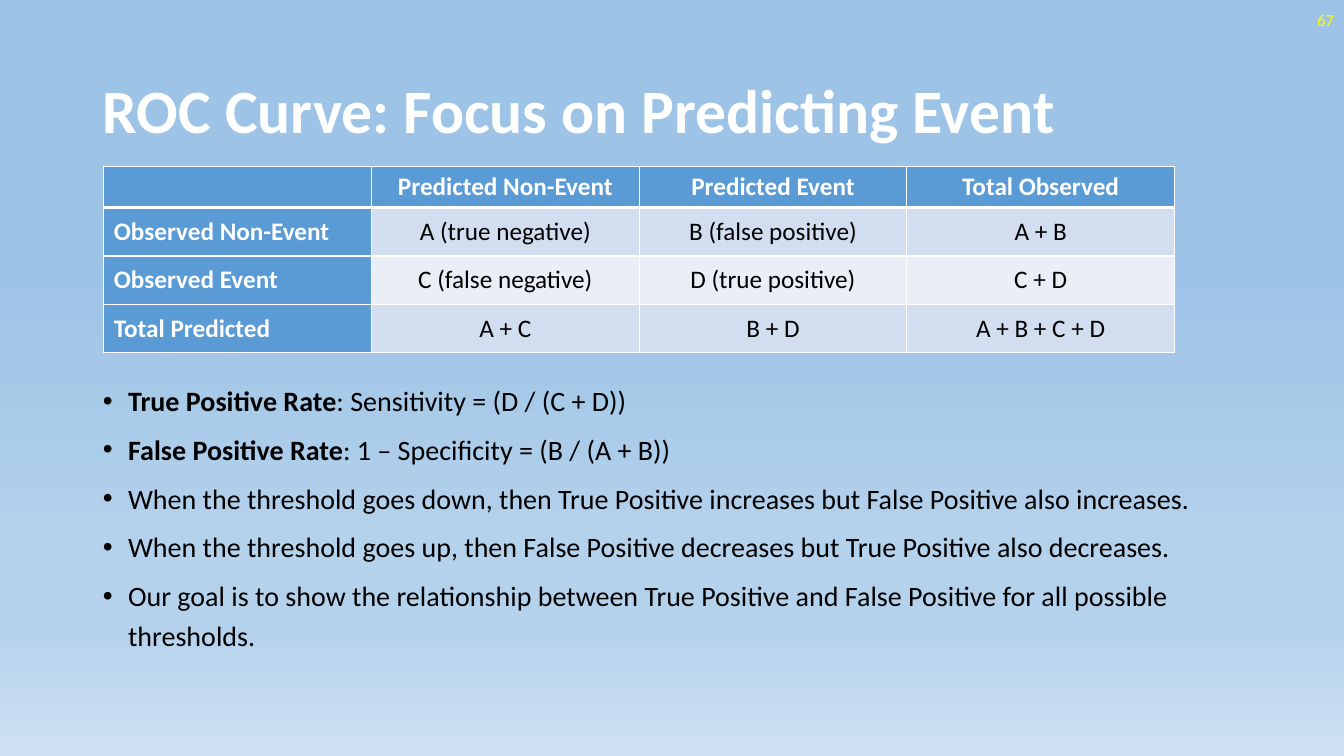
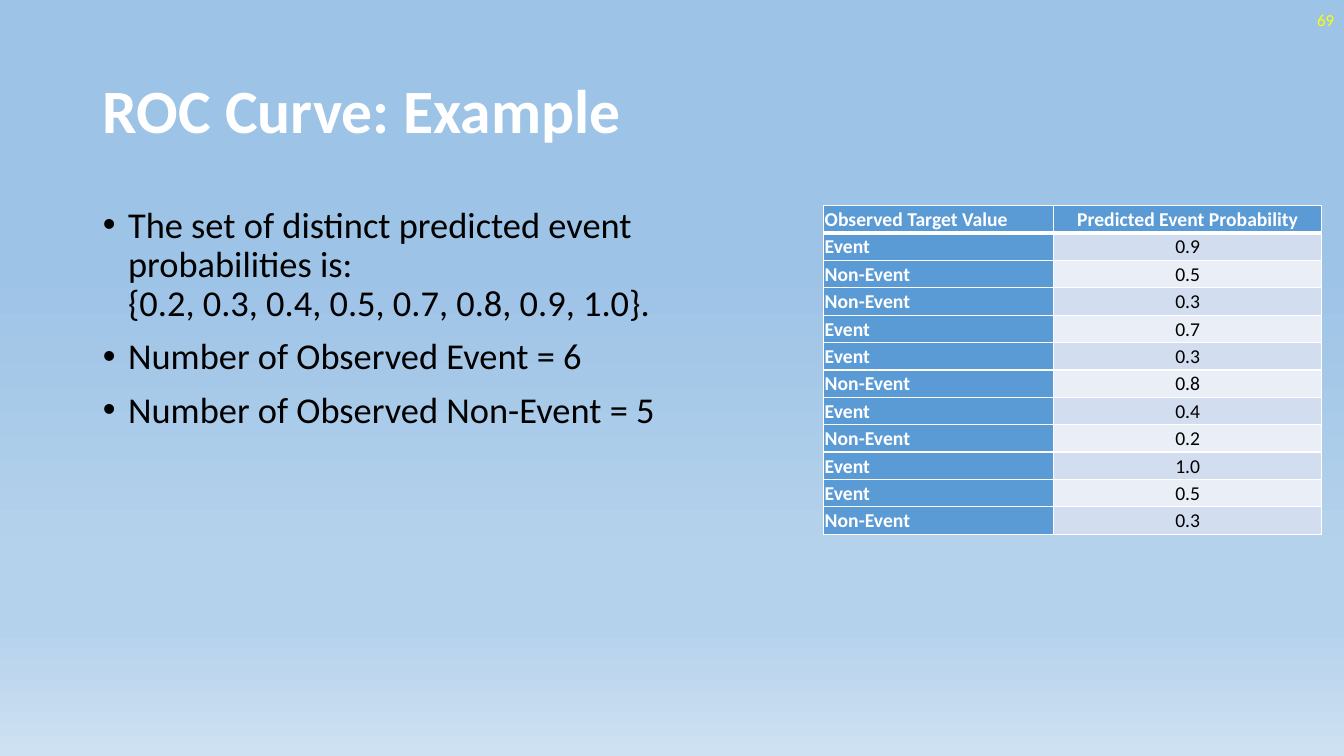
from dataclasses import dataclass

from lxml import etree
from pptx import Presentation
from pptx import util as u
from pptx.dml.color import RGBColor
from pptx.enum import text
from pptx.oxml.ns import qn

# Shared look
FONT = "Calibri"
WHITE = RGBColor(0xFF, 0xFF, 0xFF)
BLACK = RGBColor(0x00, 0x00, 0x00)
YELLOW = RGBColor(0xFF, 0xFF, 0x00)
HEADER_BLUE = RGBColor(0x5B, 0x9B, 0xD5)
BANDS = (RGBColor(0xD2, 0xDE, 0xEF), RGBColor(0xEA, 0xEF, 0xF7))
BACKGROUND_STOPS = (
    (35, RGBColor(0x9D, 0xC3, 0xE6)),
    (74, RGBColor(0xB5, 0xD2, 0xEC)),
    (83, RGBColor(0xB5, 0xD2, 0xEC)),
    (100, RGBColor(0xCE, 0xE1, 0xF2)),
)
TITLE_BOX = (0.92, 0.4, 11.5, 1.45)
NUMBER_BOX = (10.33, 0, 3, 0.4)


@dataclass
class Bullet:
    rest: str
    lead: str = ""  # bold opening words


@dataclass
class BulletList:
    box: tuple[float, float, float, float]
    size: int
    line_spacing: float
    space_before: int
    bullets: list[Bullet]


@dataclass
class Grid:
    left: float
    top: float
    widths: list[float]
    header_height: float
    row_height: float
    size: int
    margins: tuple[float, float, float, float]  # left, top, right, bottom
    rows: list[tuple[str, ...]]


@dataclass
class Page:
    title: str
    number: str
    body: BulletList
    grid: Grid


def apply(target, values: dict) -> None:
    for name, value in values.items():
        setattr(target, name, value)


def style(font, size: int, color: RGBColor, bold: bool = False) -> None:
    apply(font, {"name": FONT, "size": u.Pt(size), "bold": bold})
    font.color.rgb = color


def place(shape, box: tuple[float, float, float, float]) -> None:
    apply(shape, dict(zip(("left", "top", "width", "height"), map(u.Inches, box))))


def set_background(master) -> None:
    fill = master.background.fill
    fill.gradient()
    fill.gradient_angle = 270
    stops = master.element.xpath("./p:cSld/p:bg//a:gsLst")[0]
    for stop in list(stops):
        stops.remove(stop)
    for position, color in BACKGROUND_STOPS:
        stop = etree.SubElement(stops, qn("a:gs"), pos=str(position * 1000))
        etree.SubElement(stop, qn("a:srgbClr"), val=str(color))


def add_title(page, title: str) -> None:
    shape = page.shapes.title
    place(shape, TITLE_BOX)
    frame = shape.text_frame
    frame.text = title
    apply(frame, {"auto_size": text.MSO_AUTO_SIZE.NONE, "word_wrap": True,
                  "vertical_anchor": text.MSO_ANCHOR.MIDDLE})
    para = frame.paragraphs[0]
    apply(para, {"alignment": text.PP_ALIGN.LEFT, "line_spacing": 0.9})
    style(para.font, 44, WHITE, bold=True)


def add_number(page, number: str) -> None:
    box = page.shapes.add_textbox(*map(u.Inches, NUMBER_BOX))
    frame = box.text_frame
    frame.text = number
    apply(frame, {"word_wrap": True, "vertical_anchor": text.MSO_ANCHOR.MIDDLE})
    para = frame.paragraphs[0]
    para.alignment = text.PP_ALIGN.RIGHT
    style(para.font, 12, YELLOW)


def add_bullets(page, body: BulletList) -> None:
    shape = page.placeholders[1]
    place(shape, body.box)
    frame = shape.text_frame
    apply(frame, {"auto_size": text.MSO_AUTO_SIZE.NONE, "word_wrap": True,
                  "vertical_anchor": text.MSO_ANCHOR.TOP})
    for index, bullet in enumerate(body.bullets):
        para = frame.add_paragraph() if index else frame.paragraphs[0]
        apply(para, {"alignment": text.PP_ALIGN.LEFT,
                     "line_spacing": body.line_spacing,
                     "space_before": u.Pt(body.space_before if index else 0)})
        # Hanging bullet
        props = para._p.get_or_add_pPr()
        props.set("marL", str(u.Inches(0.25)))
        props.set("indent", str(-u.Inches(0.25)))
        etree.SubElement(props, qn("a:buFont"), typeface="Arial")
        etree.SubElement(props, qn("a:buChar"), char="•")
        style(para.font, body.size, BLACK)
        if bullet.lead:
            span = para.add_run()
            span.text = bullet.lead
            style(span.font, body.size, BLACK, bold=True)
        for line_index, line in enumerate(bullet.rest.split("\n")):
            if line_index:
                para.add_line_break()
            span = para.add_run()
            span.text = line
            style(span.font, body.size, BLACK)


def add_borders(cell, row: int) -> None:
    thick = {(0, "B"), (1, "T")}  # the rule under the header
    props = cell._tc.get_or_add_tcPr()
    for index, side in enumerate("LRTB"):
        width = u.Pt(3 if (row, side) in thick else 1)
        line = etree.Element(qn(f"a:ln{side}"), w=str(width))
        fill = etree.SubElement(line, qn("a:solidFill"))
        etree.SubElement(fill, qn("a:srgbClr"), val=str(WHITE))
        props.insert(index, line)


def add_grid(page, grid: Grid) -> None:
    heights = [grid.header_height] + [grid.row_height] * (len(grid.rows) - 1)
    box = (grid.left, grid.top, sum(grid.widths), sum(heights))
    table = page.shapes.add_table(
        len(heights), len(grid.widths), *map(u.Inches, box)).table
    for column, width in zip(table.columns, grid.widths):
        column.width = u.Inches(width)
    sides = ("margin_left", "margin_top", "margin_right", "margin_bottom")
    margins = dict(zip(sides, map(u.Inches, grid.margins)))
    for row, (height, words) in enumerate(zip(heights, grid.rows)):
        table.rows[row].height = u.Inches(height)
        for column, word in enumerate(words):
            cell = table.cell(row, column)
            heading = row == 0 or column == 0
            cell.text = word
            apply(cell, {"vertical_anchor": text.MSO_ANCHOR.MIDDLE, **margins})
            cell.fill.solid()
            cell.fill.fore_color.rgb = HEADER_BLUE if heading else BANDS[(row - 1) % 2]
            add_borders(cell, row)
            para = cell.text_frame.paragraphs[0]
            para.alignment = text.PP_ALIGN.CENTER if column else text.PP_ALIGN.LEFT
            style(para.font, grid.size, WHITE if heading else BLACK, bold=heading)


PAGES = [
    Page(
        "ROC Curve: Focus on Predicting Event", "67",
        BulletList((0.92, 3.69, 11.05, 3.07), 20, 1.2, 6, [
            Bullet(": Sensitivity = (D / (C + D))", "True Positive Rate"),
            Bullet(": 1 – Specificity = (B / (A + B))", "False Positive Rate"),
            Bullet("When the threshold goes down, then True Positive increases "
                   "but False Positive also increases."),
            Bullet("When the threshold goes up, then False Positive decreases "
                   "but True Positive also decreases."),
            Bullet("Our goal is to show the relationship between True Positive "
                   "and False Positive for all possible thresholds."),
        ]),
        Grid(1.03, 1.65, [10.62 / 4] * 4, 0.41, 0.48, 18, (0.1, 0.05, 0.1, 0.05), [
            ("", "Predicted Non-Event", "Predicted Event", "Total Observed"),
            ("Observed Non-Event", "A (true negative)", "B (false positive)", "A + B"),
            ("Observed Event", "C (false negative)", "D (true positive)", "C + D"),
            ("Total Predicted", "A + C", "B + D", "A + B + C + D"),
        ]),
    ),
    Page(
        "ROC Curve: Example", "69",
        BulletList((0.92, 2, 7.07, 4.76), 26, 0.9, 10, [
            Bullet("The set of distinct predicted event probabilities is:\n"
                   "{0.2, 0.3, 0.4, 0.5, 0.7, 0.8, 0.9, 1.0}."),
            Bullet("Number of Observed Event = 6"),
            Bullet("Number of Observed Non-Event = 5"),
        ]),
        Grid(8.17, 2.04, [2.28, 2.66], 3.26 / 12, 3.26 / 12, 14, (0.01, 0.01, 0.01, 0), [
            ("Observed Target Value", "Predicted Event Probability"),
            ("Event", "0.9"),
            ("Non-Event", "0.5"),
            ("Non-Event", "0.3"),
            ("Event", "0.7"),
            ("Event", "0.3"),
            ("Non-Event", "0.8"),
            ("Event", "0.4"),
            ("Non-Event", "0.2"),
            ("Event", "1.0"),
            ("Event", "0.5"),
            ("Non-Event", "0.3"),
        ]),
    ),
]


def main() -> None:
    deck = Presentation()
    apply(deck, {"slide_width": u.Inches(13.33), "slide_height": u.Inches(7.5)})
    set_background(deck.slide_master)
    for content in PAGES:
        page = deck.slides.add_slide(deck.slide_layouts[1])
        add_title(page, content.title)
        add_bullets(page, content.body)
        add_number(page, content.number)
        add_grid(page, content.grid)
    deck.save("out.pptx")


if __name__ == "__main__":
    main()
